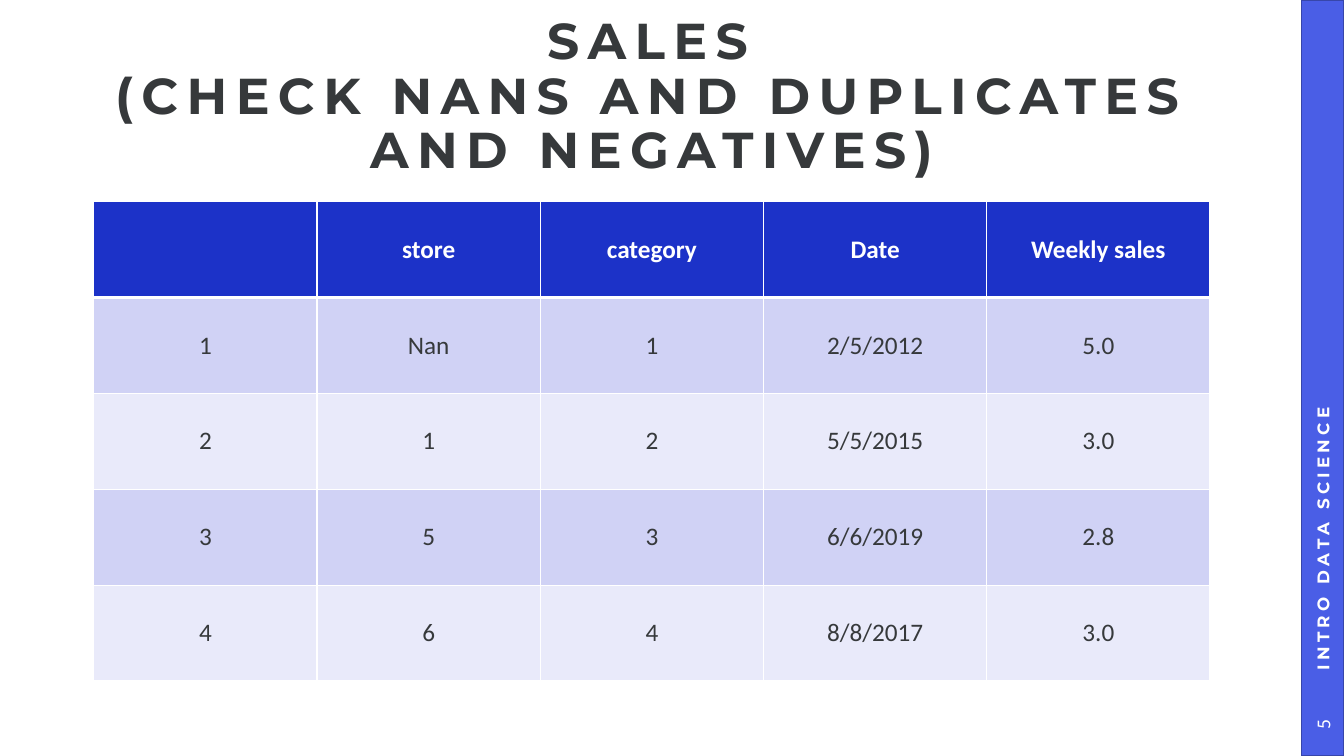
from dataclasses import dataclass

from lxml.etree import SubElement
from pptx import Presentation
from pptx.dml.color import RGBColor as Color
from pptx.enum.shapes import MSO_SHAPE as Preset
from pptx.enum.text import MSO_ANCHOR as Anchor, PP_ALIGN as Align
from pptx.oxml.ns import qn
from pptx.slide import Slide
from pptx.table import _Cell as Cell
from pptx.text.text import TextFrame
from pptx.util import Pt


@dataclass(frozen=True)
class Theme:
    ink: str = "36393B"
    white: str = "FFFFFF"
    header: str = "1C32C8"
    bands: tuple[str, str] = ("D0D2F5", "E9EAFA")
    sidebar: str = "4A5EE6"
    sidebar_line: str = "3746AA"
    heading_font: str = "Montserrat"
    body_font: str = "Calibri"
    title_size: float = 36
    table_size: float = 18
    label_size: float = 12
    number_size: float = 14


@dataclass(frozen=True)
class Area:
    left: float
    top: float
    width: float
    height: float
    rotation: float = 0

    def lengths(self) -> tuple[Pt, Pt, Pt, Pt]:
        return Pt(self.left), Pt(self.top), Pt(self.width), Pt(self.height)


THEME = Theme()
SIDEBAR = Area(674.6, 254.9, 540, 30.2, 270)
TITLE = Area(67, 53.3, 797, 33.1)
TABLE = Area(67, 144, 797.25, 342.5)
LABEL = Area(697, 232.6, 495.4, 30.2, 270)
NUMBER = Area(922.3, 502.6, 44.6, 30.2, 270)

SALES = [
    ["", "store", "category", "Date", "Weekly sales"],
    ["1", "Nan", "1", "2/5/2012", "5.0"],
    ["2", "1", "2", "5/5/2015", "3.0"],
    ["3", "5", "3", "6/6/2019", "2.8"],
    ["4", "6", "4", "8/8/2017", "3.0"],
]


def write_text(frame: TextFrame, text: str, *, size: float, font: str, color: str,
               bold: bool = False, align: Align = Align.CENTER,
               tracking: float = 0, line_spacing: float = 1) -> None:
    para = frame.paragraphs[0]
    para.text = text
    para.alignment = align
    para.line_spacing = line_spacing
    for span in para.runs:
        span.font.size = Pt(size)
        span.font.name = font
        span.font.bold = bold
        span.font.color.rgb = Color.from_string(color)
        if tracking:
            span.font._element.set("spc", str(round(tracking * 100)))


def add_text(page: Slide, area: Area, text: str,
             insets: tuple[float, float, float, float], **style) -> None:
    box = page.shapes.add_textbox(*area.lengths())
    box.rotation = area.rotation
    frame = box.text_frame
    frame.word_wrap = True
    frame.vertical_anchor = Anchor.MIDDLE
    (frame.margin_left, frame.margin_top,
     frame.margin_right, frame.margin_bottom) = map(Pt, insets)
    write_text(frame, text, **style)


def add_sidebar(page: Slide) -> None:
    bar = page.shapes.add_shape(Preset.RECTANGLE, *SIDEBAR.lengths())
    bar.rotation = SIDEBAR.rotation
    bar.shadow.inherit = False
    bar.fill.solid()
    bar.fill.fore_color.rgb = Color.from_string(THEME.sidebar)
    bar.line.color.rgb = Color.from_string(THEME.sidebar_line)
    bar.line.width = Pt(1)


def add_borders(cell: Cell, top: float, bottom: float) -> None:
    properties = cell._tc.get_or_add_tcPr()
    for side, width in {"L": 1, "R": 1, "T": top, "B": bottom}.items():
        line = SubElement(properties, qn(f"a:ln{side}"), w=str(Pt(width)))
        fill = SubElement(line, qn("a:solidFill"))
        SubElement(fill, qn("a:srgbClr"), val=THEME.white)


def add_sales_table(page: Slide) -> None:
    table = page.shapes.add_table(len(SALES), len(SALES[0]), *TABLE.lengths()).table
    for column in table.columns:
        column.width = Pt(TABLE.width / len(SALES[0]))
    for index, values in enumerate(SALES):
        table.rows[index].height = Pt(TABLE.height / len(SALES))
        heading = index == 0
        fill = THEME.header if heading else THEME.bands[(index - 1) % 2]
        for cell, value in zip(table.rows[index].cells, values):
            add_borders(cell, top=3 if index == 1 else 1, bottom=3 if heading else 1)
            cell.fill.solid()
            cell.fill.fore_color.rgb = Color.from_string(fill)
            cell.vertical_anchor = Anchor.MIDDLE
            write_text(cell.text_frame, value, size=THEME.table_size,
                       font=THEME.body_font, bold=heading,
                       color=THEME.white if heading else THEME.ink)


def main() -> None:
    deck = Presentation()
    deck.slide_width, deck.slide_height = Pt(960), Pt(540)
    page = deck.slides.add_slide(deck.slide_layouts[6])
    add_sidebar(page)
    add_text(page, TITLE, "SALES\v(CHECK NANS AND DUPLICATES AND NEGATIVES)",
             (0, 0, 0, 0), size=THEME.title_size, font=THEME.heading_font,
             color=THEME.ink, bold=True, tracking=6, line_spacing=0.9)
    add_sales_table(page)
    add_text(page, LABEL, "INTRO DATA SCIENCE", (16.6, 3.6, 7.2, 3.6),
             size=THEME.label_size, font=THEME.heading_font, color=THEME.white,
             bold=True, align=Align.LEFT, tracking=3)
    add_text(page, NUMBER, "5", (7.2, 3.6, 7.2, 3.6), size=THEME.number_size,
             font=THEME.body_font, color=THEME.white)
    deck.save("out.pptx")


if __name__ == "__main__":
    main()
